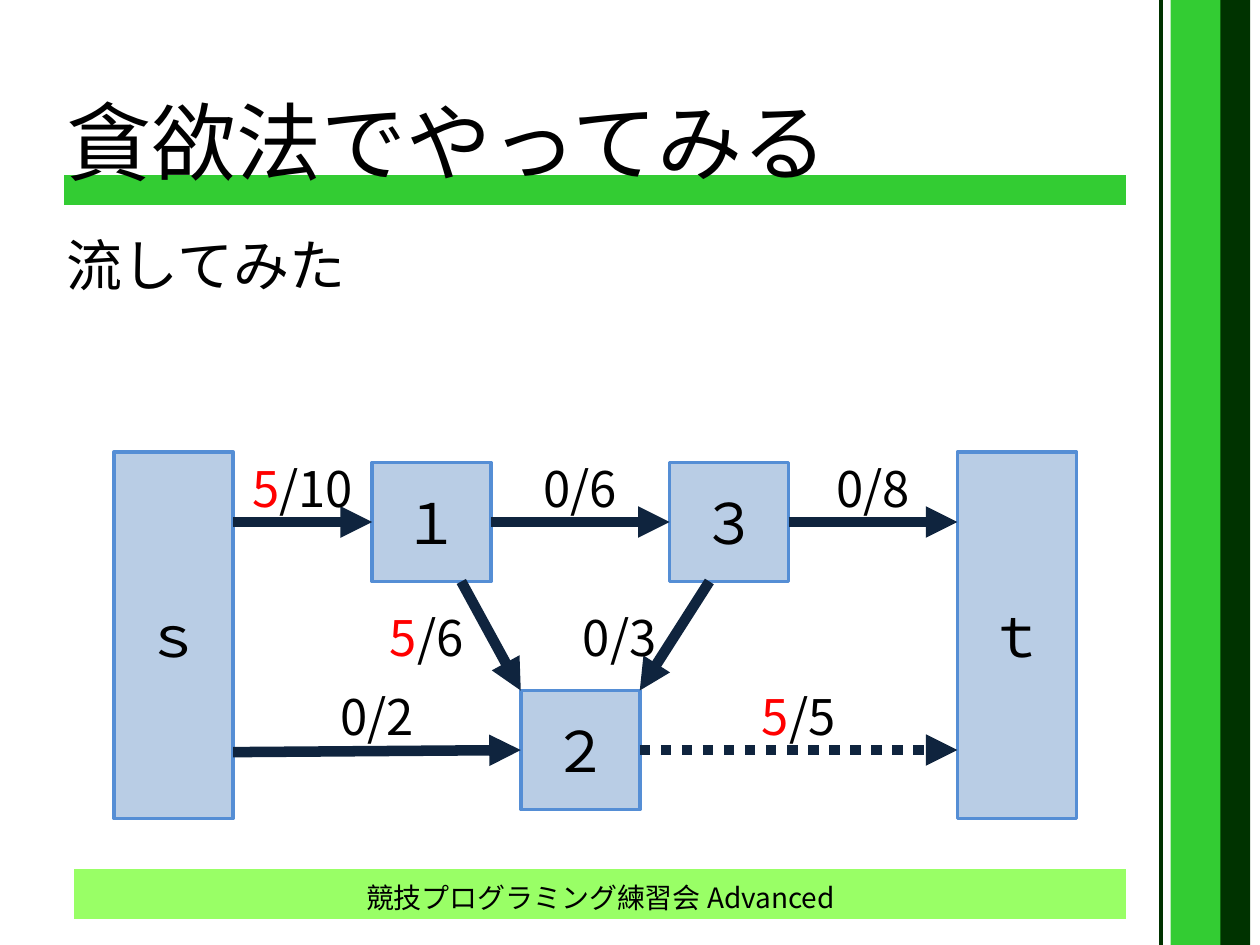
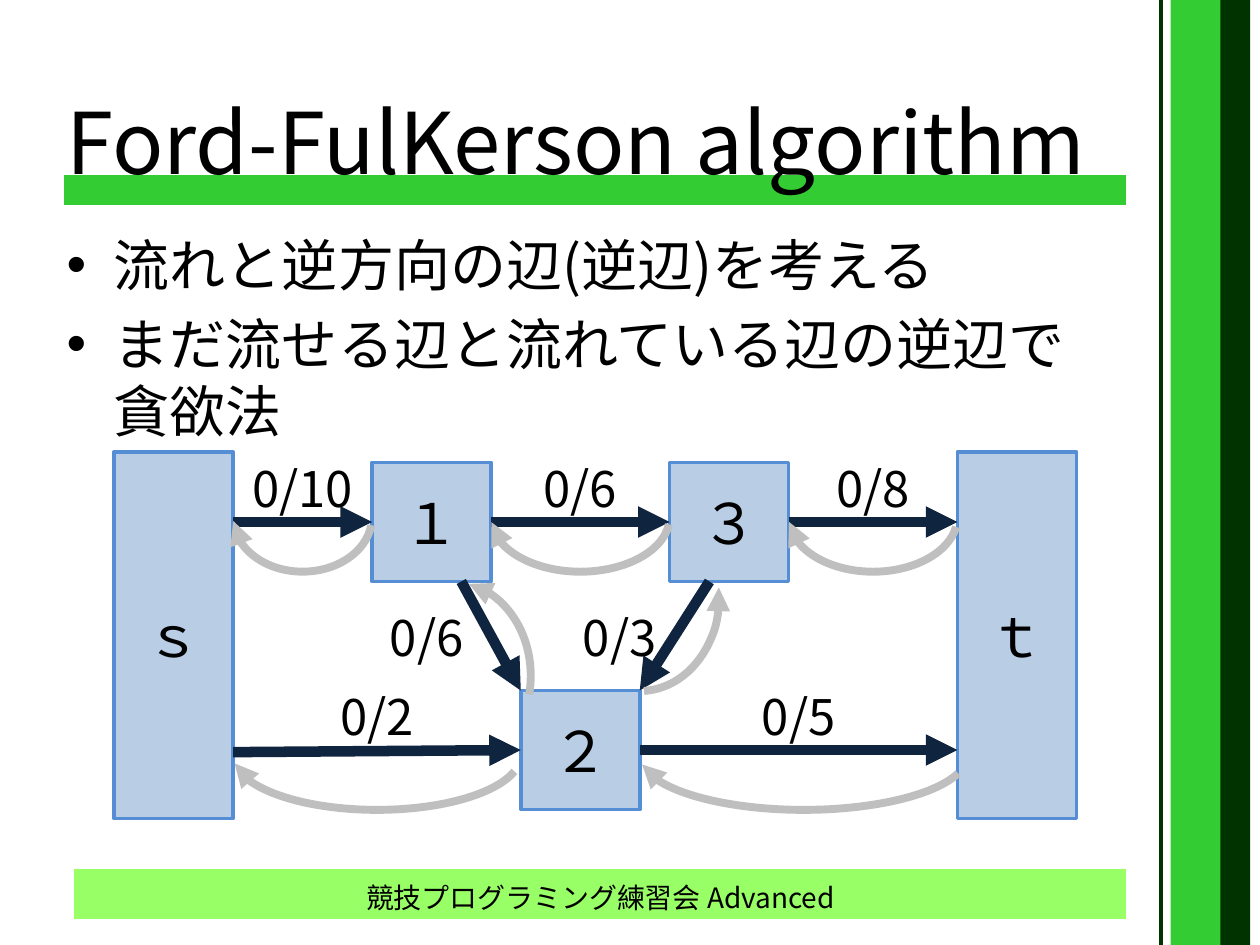
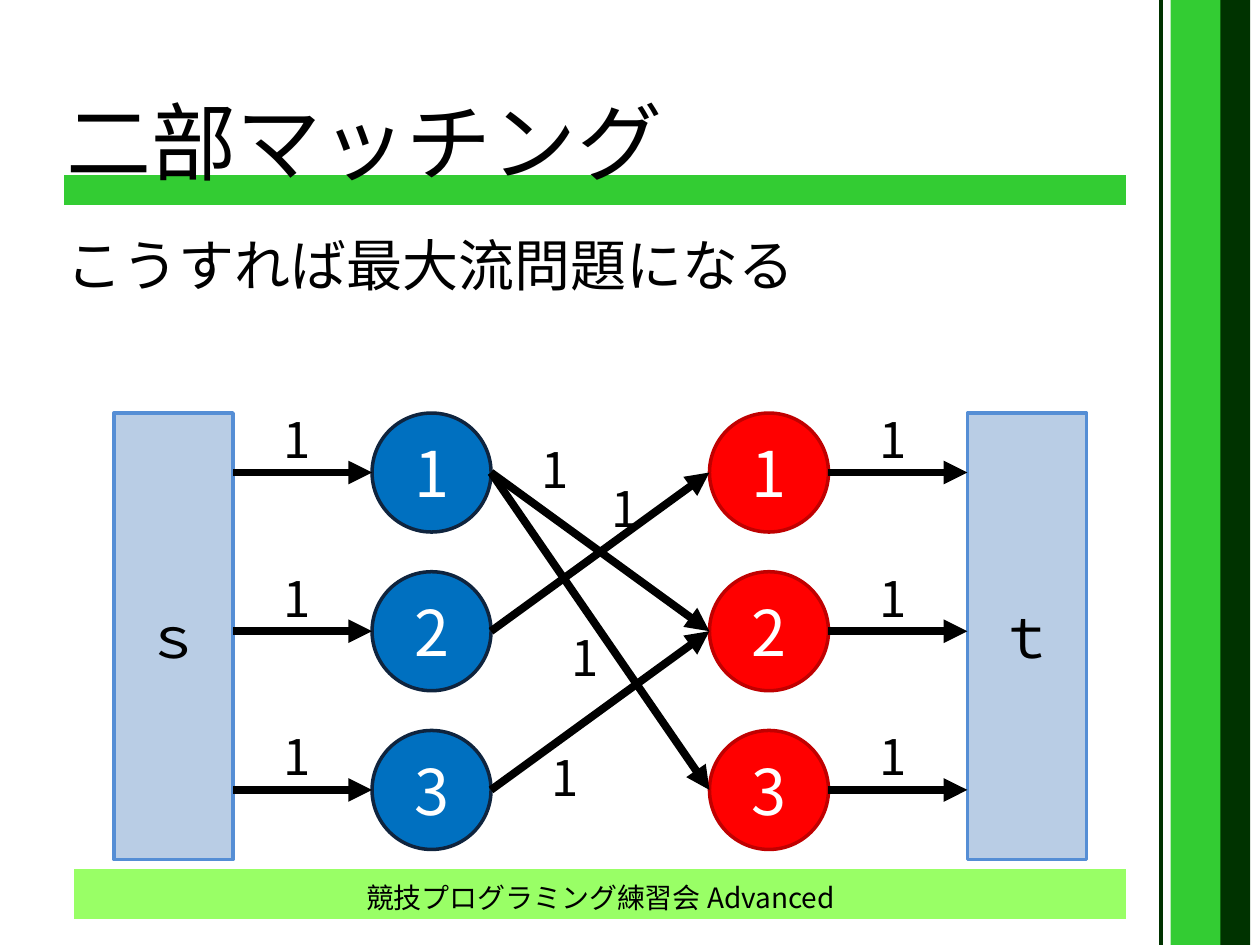
from dataclasses import dataclass

from lxml import etree
from pptx import Presentation
from pptx.dml.color import RGBColor
from pptx.enum.dml import MSO_LINE
from pptx.enum.shapes import MSO_CONNECTOR, MSO_SHAPE
from pptx.enum.text import MSO_ANCHOR, MSO_AUTO_SIZE, PP_ALIGN
from pptx.oxml.ns import qn
from pptx.util import Pt

RECTANGLE = MSO_SHAPE.RECTANGLE
PARALLELOGRAM = MSO_SHAPE.PARALLELOGRAM
OVAL = MSO_SHAPE.OVAL
ARC = MSO_SHAPE.ARC
STRAIGHT = MSO_CONNECTOR.STRAIGHT
DOTTED = MSO_LINE.ROUND_DOT
LEFT, CENTER = PP_ALIGN.LEFT, PP_ALIGN.CENTER
TOP, MIDDLE = MSO_ANCHOR.TOP, MSO_ANCHOR.MIDDLE
GROW = MSO_AUTO_SIZE.SHAPE_TO_FIT_TEXT
LEFT_SIDE, RIGHT_SIDE = 1, 3

WIDTH, HEIGHT = 720, 540
NODE = 68
LABEL_HEIGHT = 41
SOURCE_LEFT, SOURCE_RIGHT = 65.2, 133.2
FIRST_LEFT = 212.6
FIRST_RIGHT = FIRST_LEFT + NODE


@dataclass(frozen=True)
class Theme:
    font: str = "Noto Sans CJK JP"
    bullet_font: str = "Arial"
    text: str = "000000"
    light_text: str = "FFFFFF"
    flow: str = "FF0000"
    band: str = "33CC33"
    footer: str = "99FF66"
    edge: str = "003300"
    node: str = "B9CDE5"
    node_line: str = "558ED5"
    arrow: str = "0F243E"
    back_arrow: str = "BFBFBF"
    left_circle: str = "0070C0"
    right_circle: str = "FF0000"
    right_circle_line: str = "C00000"
    title_size: float = 48.6
    body_size: float = 32
    circle_size: float = 36
    label_size: float = 28
    footer_size: float = 16


def color_of(value):
    return RGBColor.from_string(value)


def points(*values):
    return [Pt(value) for value in values]


def add_arrowhead(shape, end):
    line = shape.element.spPr.find(qn("a:ln"))
    etree.SubElement(line, qn(f"a:{end}"), type="triangle")


def write_text(frame, paragraphs, *, font, size, color, align=LEFT, anchor=TOP,
               space_before=0, hanging=0, bullet=None, bullet_font=None):
    frame.word_wrap = True
    frame.vertical_anchor = anchor
    for index, runs in enumerate(paragraphs):
        paragraph = frame.paragraphs[0] if index == 0 else frame.add_paragraph()
        paragraph.alignment = align
        paragraph.space_before = Pt(space_before)
        properties = paragraph._p.get_or_add_pPr()
        if hanging:
            properties.set("marL", str(Pt(hanging)))
            properties.set("indent", str(-Pt(hanging)))
        if bullet:
            etree.SubElement(properties, qn("a:buFont"), typeface=bullet_font)
            etree.SubElement(properties, qn("a:buChar"), char=bullet)
        for text, run_color in [(runs, color)] if isinstance(runs, str) else runs:
            run = paragraph.add_run()
            run.text = text
            run.font.name = font
            run.font.size = Pt(size)
            run.font.color.rgb = color_of(run_color)
            east_asian = etree.SubElement(run.font._element, qn("a:ea"))
            east_asian.set("typeface", font)


class Deck:
    def __init__(self, theme):
        self.theme = theme
        self.presentation = Presentation()
        self.presentation.slide_width, self.presentation.slide_height = points(WIDTH, HEIGHT)
        self.slide = None

    def start_slide(self, title, body, bullet=None, body_width=653.8):
        theme = self.theme
        self.slide = self.presentation.slides.add_slide(self.presentation.slide_layouts[6])
        self.shape(PARALLELOGRAM, (42.5, 496.8, 601.2, 28.3), theme.footer).adjustments[0] = 0
        self.shape(RECTANGLE, (668.9, 0, 45.4, HEIGHT), theme.band)
        self.shape(PARALLELOGRAM, (36.7, 100.1, 607, 17), theme.band).adjustments[0] = 0
        self.line((663.3, 0), (663.3, HEIGHT), theme.edge, 2.25)
        self.shape(RECTANGLE, (697.3, 0, 17.03, HEIGHT), theme.edge)
        self.text((31, 49, WIDTH, 62.6), [title], theme.title_size, anchor=MIDDLE)
        self.text((31, 128.2, body_width, 356.4), body, theme.body_size, space_before=6.4,
                  hanging=27, bullet=bullet, bullet_font=theme.bullet_font)
        self.text((42.5, 496.8, 601.2, 32.4), ["競技プログラミング練習会 Advanced"],
                  theme.footer_size, align=CENTER, anchor=MIDDLE)

    def shape(self, kind, box, fill=None, line=None, weight=2):
        shape = self.slide.shapes.add_shape(kind, *points(*box))
        shape.shadow.inherit = False
        if fill:
            shape.fill.solid()
            shape.fill.fore_color.rgb = color_of(fill)
        else:
            shape.fill.background()
        if line:
            shape.line.color.rgb = color_of(line)
            shape.line.width = Pt(weight)
        else:
            shape.line.fill.background()
        return shape

    def text(self, box, paragraphs, size, grow=False, **options):
        frame = self.slide.shapes.add_textbox(*points(*box)).text_frame
        write_text(frame, paragraphs, font=self.theme.font, size=size,
                   color=self.theme.text, **options)
        if grow:
            frame.auto_size = GROW

    def line(self, begin, end, color, weight, begin_node=None, end_node=None):
        connector = self.slide.shapes.add_connector(STRAIGHT, *points(*begin, *end))
        connector.line.color.rgb = color_of(color)
        connector.line.width = Pt(weight)
        etree.SubElement(connector.element.spPr, qn("a:effectLst"))
        if begin_node:
            connector.begin_connect(begin_node, RIGHT_SIDE)
        if end_node:
            connector.end_connect(end_node, LEFT_SIDE)
        return connector

    def arrow(self, begin, end, color, weight, dotted=False, **nodes):
        connector = self.line(begin, end, color, weight, **nodes)
        if dotted:
            connector.line.dash_style = DOTTED
        add_arrowhead(connector, "tailEnd")

    def node(self, text, left, top, height=NODE):
        theme = self.theme
        shape = self.shape(RECTANGLE, (left, top, NODE, height), theme.node, theme.node_line)
        write_text(shape.text_frame, [text], font=theme.font, size=theme.body_size,
                   color=theme.text, align=CENTER, anchor=MIDDLE)
        return shape

    def circle(self, text, left, top, fill, line):
        theme = self.theme
        shape = self.shape(OVAL, (left, top, NODE, NODE), fill, line)
        write_text(shape.text_frame, [text], font=theme.font, size=theme.circle_size,
                   color=theme.light_text, align=CENTER, anchor=MIDDLE)

    def label(self, text, left, top, width, align=CENTER):
        flow, slash, capacity = text.partition("/")
        runs = [(flow, self.theme.flow), (slash + capacity, self.theme.text)]
        used = slash and flow != "0"
        self.text((left, top, width, LABEL_HEIGHT), [runs if used else text],
                  self.theme.label_size, grow=True, align=align)

    def back_arc(self, box, start, stop, end="tailEnd"):
        arc = self.shape(ARC, box, line=self.theme.back_arrow, weight=4.5)
        arc.adjustments[0] = start * 0.6
        arc.adjustments[1] = stop * 0.6
        add_arrowhead(arc, end)


SECOND_LEFT, THIRD_LEFT, SINK_LEFT = 297.6, 382.7, 547.1
SECOND_RIGHT, THIRD_RIGHT = SECOND_LEFT + NODE, THIRD_LEFT + NODE
UPPER_TOP, LOWER_TOP = 264.3, 394.6
UPPER_MIDDLE, LOWER_MIDDLE = UPPER_TOP + NODE / 2, LOWER_TOP + NODE / 2
UPPER_BOTTOM = UPPER_TOP + NODE
UPPER_LABEL, LOWER_LABEL, DIAGONAL_LABEL = 258.2, 388.6, 343.6
UPPER_GAPS = [(SOURCE_RIGHT, FIRST_LEFT), (FIRST_RIGHT, THIRD_LEFT), (THIRD_RIGHT, SINK_LEFT)]
LOWER_GAPS = [(SOURCE_RIGHT, SECOND_LEFT), (SECOND_RIGHT, SINK_LEFT)]


def draw_network(deck, upper, lower, diagonal, dotted_last=False):
    color = deck.theme.arrow
    for text, left in (("ｓ", SOURCE_LEFT), ("ｔ", SINK_LEFT)):
        deck.node(text, left, UPPER_LABEL, 209.5)
    first = deck.node("１", FIRST_LEFT, UPPER_TOP)
    second = deck.node("２", SECOND_LEFT, LOWER_TOP)
    third = deck.node("３", THIRD_LEFT, UPPER_TOP)

    upper_nodes = [None, first, third, None]
    for index, (text, (left, right)) in enumerate(zip(upper, UPPER_GAPS)):
        deck.arrow((left, UPPER_MIDDLE), (right, UPPER_MIDDLE), color, 6,
                   begin_node=upper_nodes[index], end_node=upper_nodes[index + 1])
        deck.label(text, left, UPPER_LABEL, right - left)

    lower_nodes = [None, second, None]
    for index, (text, (left, right)) in enumerate(zip(lower, LOWER_GAPS)):
        begin_y = LOWER_MIDDLE + (1.2 if index == 0 else 0)
        deck.arrow((left, begin_y), (right, LOWER_MIDDLE), color, 6,
                   dotted=dotted_last and index == 1,
                   begin_node=lower_nodes[index], end_node=lower_nodes[index + 1])
        deck.label(text, left, LOWER_LABEL, right - left)

    diagonals = [(FIRST_LEFT + NODE * 0.75, SECOND_LEFT, FIRST_LEFT, CENTER),
                 (THIRD_LEFT + NODE / 3, SECOND_RIGHT, 326, LEFT)]
    for text, (begin_x, end_x, label_left, align) in zip(diagonal, diagonals):
        deck.arrow((begin_x, UPPER_BOTTOM), (end_x, LOWER_TOP), color, 6)
        deck.label(text, label_left, DIAGONAL_LABEL, 62.4, align)


def draw_back_arcs(deck):
    for (left, right), start in zip(UPPER_GAPS, (6.68, 4.7, 6.68)):
        deck.back_arc((left, UPPER_TOP, right - left, 62.4), start, 176.74)
    for (left, right), extra in zip(LOWER_GAPS, (0, 5.7)):
        deck.back_arc((left, 400.4, right - left + extra, 62.4), 6.68, 176.74)
    deck.back_arc((320.3, 287.2, 90.7, 107.7), 353.27, 87.44, "headEnd")
    deck.back_arc((FIRST_LEFT, UPPER_BOTTOM, 90.7, 107.7), 280.82, 13.39, "headEnd")


def draw_matching(deck):
    theme = deck.theme
    top, pitch, label_width = 236, 90.7, 73.7
    right_left, sink_left = 405.4, 552.8
    right_right = right_left + NODE
    middles = [top + NODE / 2 + row * pitch for row in range(3)]
    columns = [(FIRST_LEFT, theme.left_circle, theme.arrow),
               (right_left, theme.right_circle, theme.right_circle_line)]
    for left, fill, line in columns:
        for row in range(3):
            deck.circle(str(row + 1), left, top + row * pitch, fill, line)
    for begin_row, end_row in ((0, 1), (1, 0), (2, 1), (0, 2)):
        deck.arrow((FIRST_RIGHT, middles[begin_row]), (right_left, middles[end_row]),
                   theme.text, 4.5)
    for text, left in (("ｓ", SOURCE_LEFT), ("ｔ", sink_left)):
        deck.node(text, left, top, 255.1)
    for begin_x, end_x in ((SOURCE_RIGHT, FIRST_LEFT), (right_right, sink_left)):
        for middle in middles:
            deck.arrow((begin_x, middle), (end_x, middle), theme.text, 4.5)
            deck.label("1", begin_x, middle - 39.6, label_width)
    for left, label_top in ((280.6, 247.7), (320.3, 270), (297.6, 355), (286.3, 423.4)):
        deck.label("1", left, label_top, label_width)


def main():
    deck = Deck(Theme())
    deck.start_slide("貪欲法でやってみる", ["流してみた"])
    draw_network(deck, ["5/10", "0/6", "0/8"], ["0/2", "5/5"], ["5/6", "0/3"], dotted_last=True)

    deck.start_slide("Ford-FulKerson algorithm",
                     ["流れと逆方向の辺(逆辺)を考える", "まだ流せる辺と流れている辺の逆辺で貪欲法"],
                     bullet="•", body_width=601.2)
    draw_network(deck, ["0/10", "0/6", "0/8"], ["0/2", "0/5"], ["0/6", "0/3"])
    draw_back_arcs(deck)

    deck.start_slide("二部マッチング", ["こうすれば最大流問題になる"])
    draw_matching(deck)
    deck.presentation.save("out.pptx")


if __name__ == "__main__":
    main()
